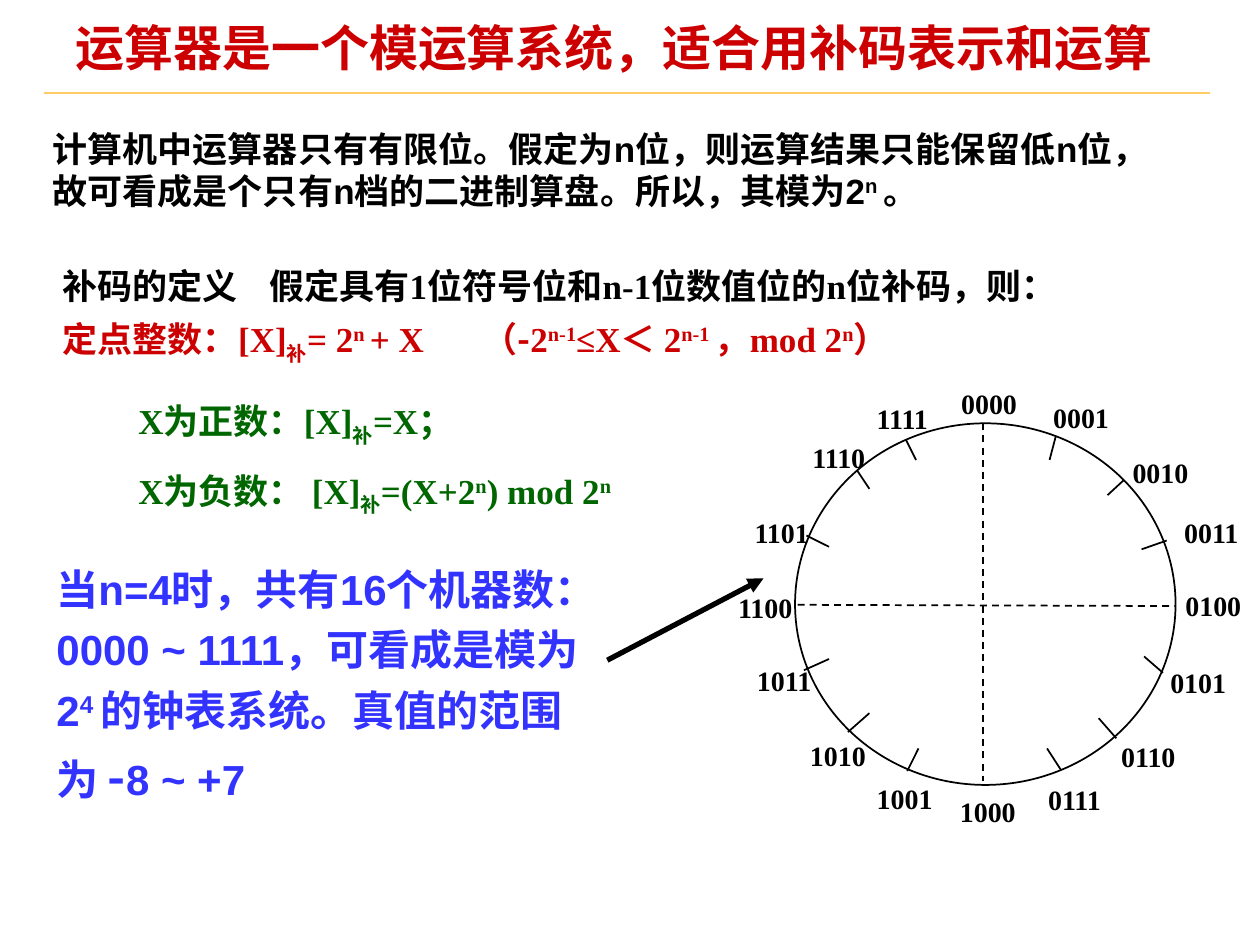
from lxml import etree
from pptx import Presentation
from pptx import util as u
from pptx.dml.color import RGBColor
from pptx.enum import dml, shapes, text
from pptx.oxml.ns import qn

RED = RGBColor(0xCC, 0x00, 0x00)
GREEN = RGBColor(0x00, 0x66, 0x00)
BLUE = RGBColor(0x33, 0x33, 0xFF)
BLACK = RGBColor(0x00, 0x00, 0x00)
GOLD = RGBColor(0xFF, 0xCC, 0x66)

SANS, SERIF, CJK = "Arial", "Times New Roman", "Noto Sans CJK SC"
SUP, SUB = 30000, -25000

# The slide is a grid of 100 columns and 75 rows.
WIDTH, HEIGHT = u.Inches(10), u.Inches(7.5)
COLUMN, ROW = WIDTH / 100, HEIGHT / 75

# Code on the dial, with the column and row of its label's corner
DIAL_LABELS = [
    ("0000", 75.3, 30.2), ("0001", 82.6, 31.3), ("0010", 88.9, 35.7),
    ("0011", 93, 40.4), ("0100", 93.1, 46.2), ("0101", 91.9, 52.3),
    ("0110", 88, 58.2), ("0111", 82.2, 61.6), ("1000", 75.2, 62.6),
    ("1001", 68.6, 61.5), ("1010", 63.3, 58.1), ("1011", 59.1, 52.2),
    ("1100", 57.6, 46.4), ("1101", 58.9, 40.4), ("1110", 63.5, 34.5),
    ("1111", 68.6, 31.4),
]
# Inner and outer end of each tick, clockwise from 0001
DIAL_TICKS = [
    (83.3, 36.5, 83.8, 34.6), (87.9, 39.3, 89.2, 38.1),
    (90.6, 43.6, 92.6, 42.9), (90.8, 52.1, 92.3, 53.4),
    (87.2, 57, 88.6, 58.6), (83.1, 59.4, 84.2, 61.1),
    (72.9, 59.4, 72, 61.2), (69, 56.6, 67.3, 58.1),
    (65.8, 52.3, 63.8, 53.2), (65.8, 43.4, 64, 42.5),
    (69, 38.8, 68, 37.3), (72.7, 36.5, 71.9, 34.9),
]
DIAL_AXES = [(63.3, 48, 93.3, 48.1), (78, 33.6, 78, 62)]


def place(*cells):
    """Turn alternating columns and rows into slide lengths."""
    return [u.Emu(round(n * (ROW if i % 2 else COLUMN)))
            for i, n in enumerate(cells)]


def style_paragraph(paragraph, font_name, size, color):
    """Set the font, and keep punctuation inside the right margin."""
    paragraph._p.get_or_add_pPr().set("hangingPunct", "0")
    font = paragraph.font
    font.name, font.size, font.bold = font_name, u.Pt(size), True
    font.color.rgb = color


def add_run(paragraph, wording, baseline=0, font_name=None, size=None):
    run = paragraph.add_run()
    run.text = wording
    if baseline:
        run.font._element.set("baseline", str(baseline))
    if font_name:
        run.font.name = font_name
    if size:
        run.font.size = u.Pt(size)


def add_tab_stop(paragraph, inches):
    stops = etree.SubElement(paragraph._p.get_or_add_pPr(), qn("a:tabLst"))
    etree.SubElement(stops, qn("a:tab"), pos=str(u.Inches(inches)), algn="l")


def add_text(slide, cells, paragraphs, font_name, size, wrap=True):
    """Each paragraph is a dict: runs, color and optional before, spacing, tab."""
    frame = slide.shapes.add_textbox(*place(*cells)).text_frame
    frame.word_wrap = wrap
    for i, part in enumerate(paragraphs):
        paragraph = frame.add_paragraph() if i else frame.paragraphs[0]
        if "spacing" in part:
            paragraph.line_spacing = part["spacing"]
        if "before" in part:
            paragraph.space_before = u.Pt(part["before"])
        if "tab" in part:
            add_tab_stop(paragraph, part["tab"])
        style_paragraph(paragraph, font_name, size, part["color"])
        for run in part["runs"]:
            add_run(paragraph, *run)


def add_line(slide, ends, color=BLACK, width=1, dashed=False, arrow=False):
    connector = slide.shapes.add_connector(
        shapes.MSO_CONNECTOR.STRAIGHT, *place(*ends))
    line = connector.line
    line.color.rgb, line.width = color, u.Pt(width)
    if dashed:
        line.dash_style = dml.MSO_LINE.DASH
    if arrow:
        etree.SubElement(line._get_or_add_ln(), qn("a:tailEnd"), type="triangle")
    etree.SubElement(connector._element.spPr, qn("a:effectLst"))


def add_title(slide, wording):
    title = slide.shapes.title
    title.left, title.top, title.width, title.height = place(5.3, 1.7, 90.8, 4.6)
    frame = title.text_frame
    frame.margin_left = frame.margin_right = u.Inches(0.07)
    frame.margin_top = frame.margin_bottom = u.Inches(0.03)
    frame.vertical_anchor = text.MSO_ANCHOR.TOP
    frame.auto_size = text.MSO_AUTO_SIZE.NONE
    paragraph = frame.paragraphs[0]
    paragraph.alignment = text.PP_ALIGN.LEFT
    paragraph.line_spacing = 0.87
    style_paragraph(paragraph, SANS, 28, RED)
    add_run(paragraph, wording)
    add_line(slide, (3.5, 7.4, 96, 7.4), GOLD)


def add_dial(slide):
    dial = slide.shapes.add_shape(
        shapes.MSO_SHAPE.OVAL, *place(63.1, 33.6, 30.2, 28.7))
    dial.shadow.inherit = False
    dial.fill.background()
    dial.line.color.rgb, dial.line.width = BLACK, u.Pt(1)
    for axis in DIAL_AXES:
        add_line(slide, axis, dashed=True)
    for tick in DIAL_TICKS:
        add_line(slide, tick)
    for code, column, row in DIAL_LABELS:
        add_text(slide, (column, row, 6.4, 3.7),
                 [dict(runs=[(code,)], color=BLACK)], SERIF, 16, wrap=False)


def add_explanations(slide):
    add_text(slide, (3.2, 9.6, 91.4, 7.7), [dict(color=BLACK, runs=[
        ("计算机中运算器只有有限位。假定为n位，则运算结果只能保留低n位，"
         "故可看成是个只有n档的二进制算盘。所以，其模为2",),
        ("n ", SUP), ("。",)])], SANS, 20)
    add_text(slide, (3.5, 43.4, 46.3, 21), [dict(color=BLUE, spacing=1.2, runs=[
        ("当n=4时，共有16个机器数：0000 ~ 1111，可看成是模为2",),
        ("4 ", SUP), ("的钟表系统。真值的范围为 ",),
        ("-", 0, CJK, 28), ("8 ~ +7",)])], SANS, 24)
    add_line(slide, (48.2, 52.4, 60.6, 45.9), width=3, arrow=True)


def add_definitions(slide):
    add_text(slide, (4, 20.5, 83.2, 12.4), [
        dict(color=BLACK, tab=1.64, runs=[
            ("补码的定义\t假定具有1位符号位和n-1位数值位的n位补码，则：",)]),
        dict(color=RED, before=6.2, tab=3.33, runs=[
            ("定点整数：[X]",), ("补", SUB), ("= 2",), ("n ", SUP),
            ("+ X\t（",), ("-", 0, CJK), ("2",), ("n-1", SUP), ("≤X＜ 2",),
            ("n-1 ", SUP), ("，mod 2",), ("n", SUP), ("）",)]),
    ], SERIF, 20)
    add_text(slide, (10, 31.2, 47.6, 10.3), [
        dict(color=GREEN, runs=[("X为正数：[X]",), ("补", SUB), ("=X；",)]),
        dict(color=GREEN, before=12.5, runs=[
            ("X为负数： [X]",), ("补", SUB), ("=(X+2",), ("n", SUP),
            (") mod 2",), ("n", SUP)]),
    ], SERIF, 20)


def main():
    deck = Presentation()
    deck.slide_width, deck.slide_height = WIDTH, HEIGHT
    slide = deck.slides.add_slide(deck.slide_layouts.get_by_name("Title Only"))
    add_title(slide, "运算器是一个模运算系统，适合用补码表示和运算")
    add_dial(slide)
    add_explanations(slide)
    add_definitions(slide)
    deck.save("out.pptx")


if __name__ == "__main__":
    main()
